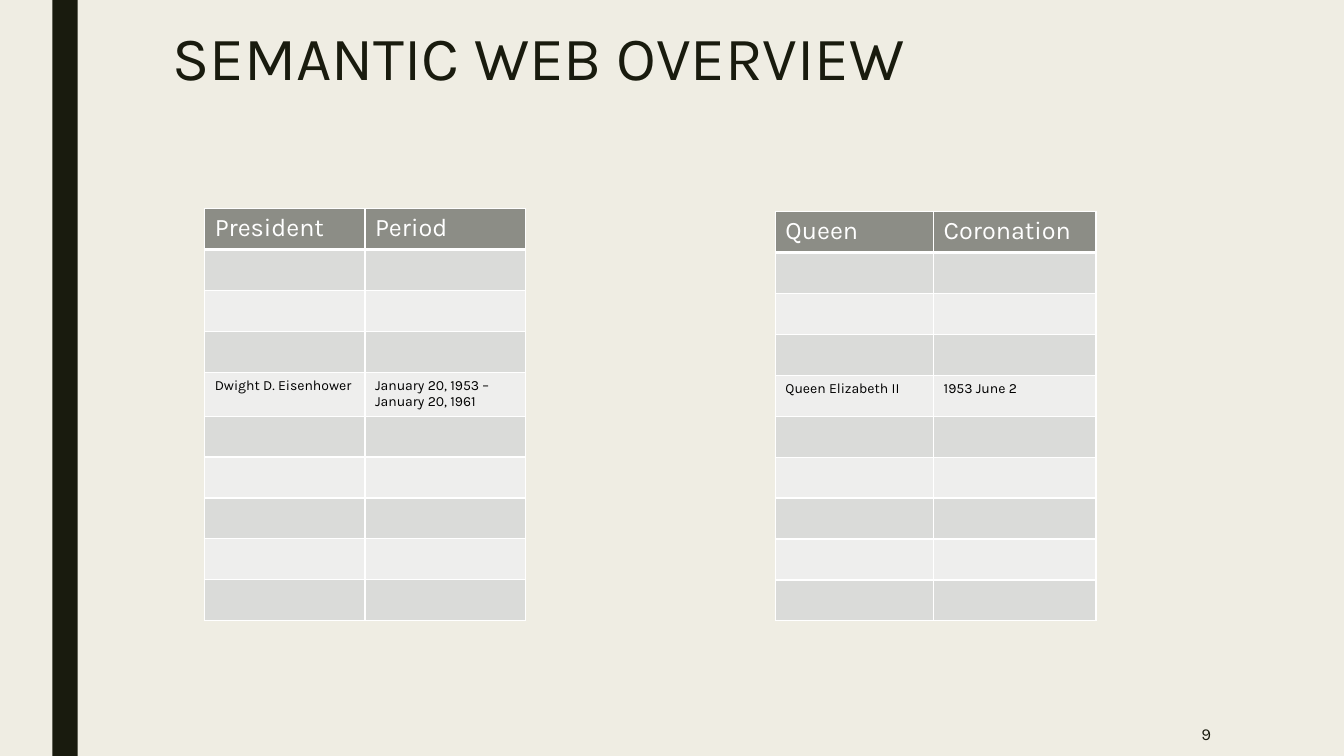
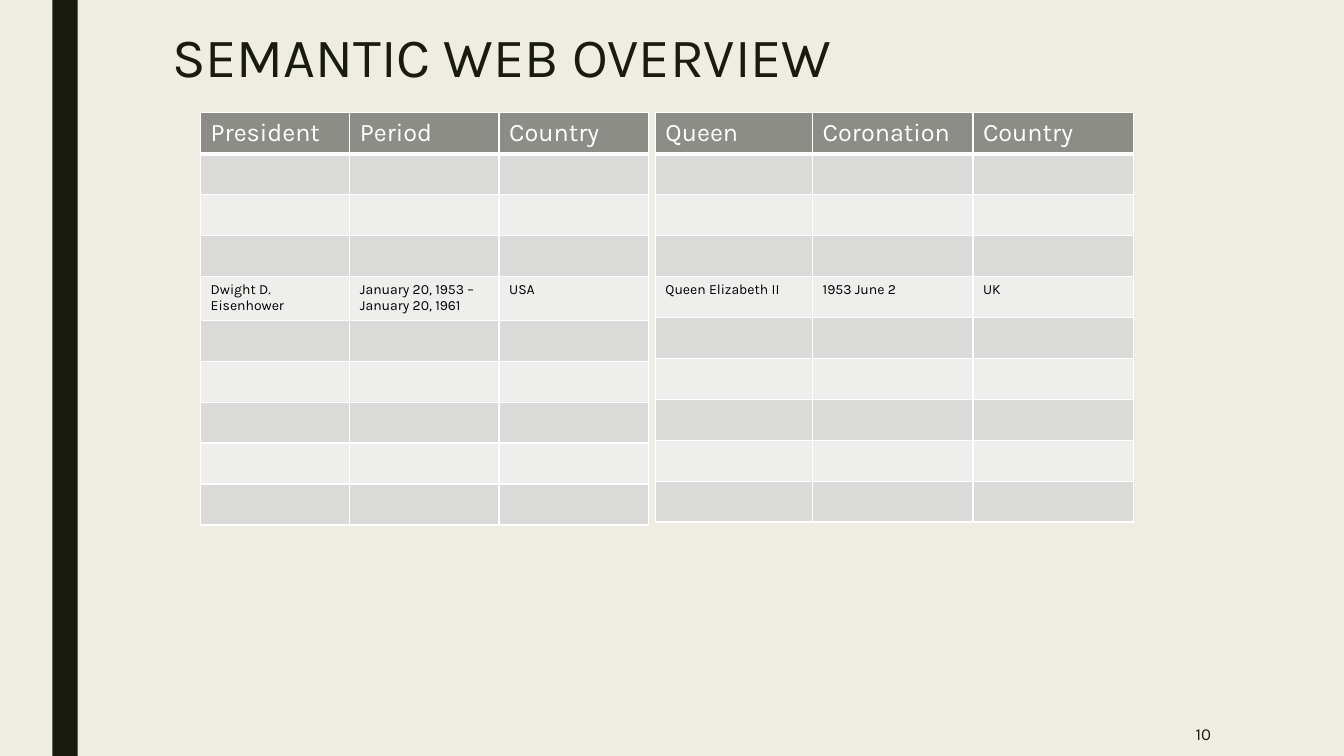
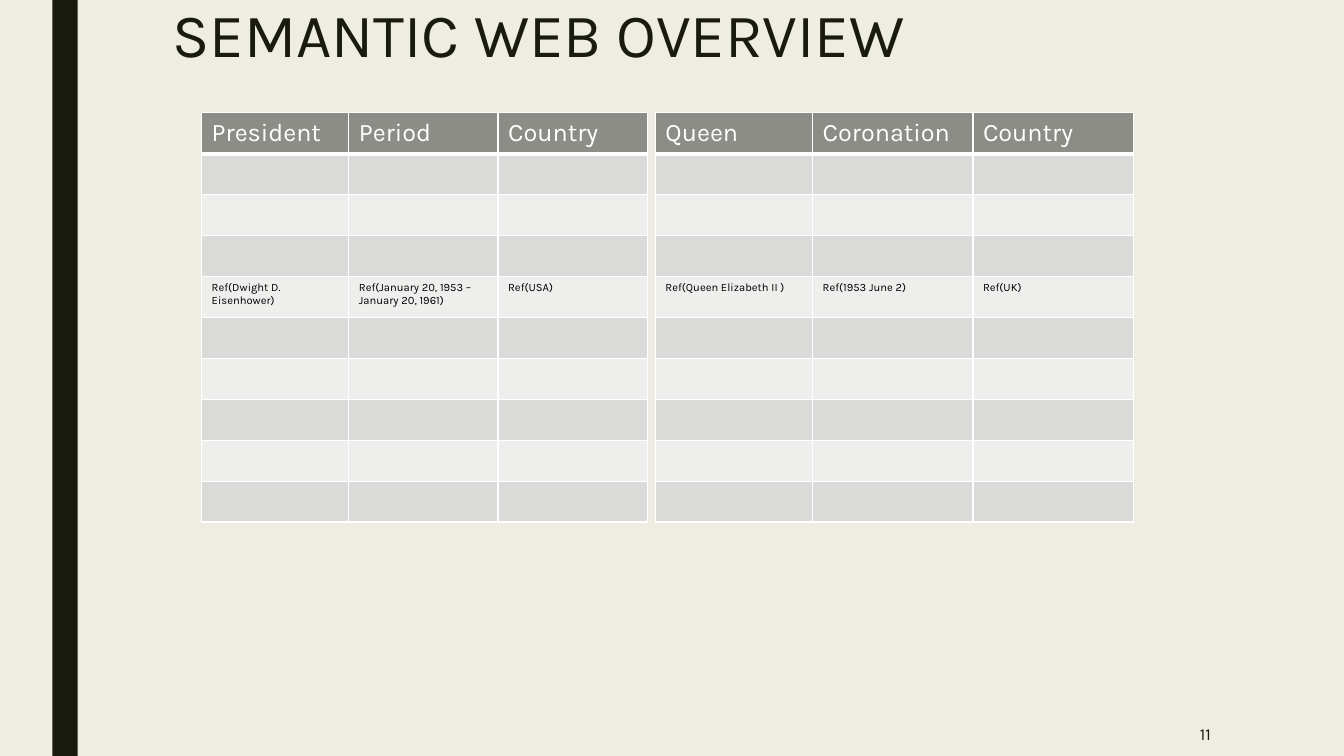
"""Build three slides that compare presidents and queens in tables."""
from dataclasses import dataclass

from lxml import etree
from pptx import Presentation
from pptx.dml.color import RGBColor
from pptx.enum import shapes, text
from pptx.oxml import ns
from pptx.util import Inches, Pt


@dataclass(frozen=True)
class Theme:
    font: str = "Karla"
    paper: str = "EFEDE3"
    ink: str = "191B0E"
    header: str = "8C8D86"
    bands: tuple[str, str] = ("EEEEED", "DADBD9")
    white: str = "FFFFFF"
    black: str = "000000"
    title_size: float = 44
    small_title_size: float = 39.6
    header_size: float = 18
    body_size: float = 10
    reference_size: float = 8
    number_size: float = 12
    border: float = 1
    header_border: float = 3


@dataclass(frozen=True)
class Grid:
    left: float
    top: float
    widths: tuple[float, ...]
    headings: tuple[str, ...]
    entry: tuple[str, ...]
    entry_size: float = Theme.body_size


@dataclass(frozen=True)
class Content:
    number: int
    title_top: float
    title_height: float
    grids: tuple[Grid, ...]
    title_size: float = Theme.title_size


THEME = Theme()
TITLE = "SEMANTIC WEB OVERVIEW"
ROWS = 10
ENTRY_ROW = 4
ROW_HEIGHT = Inches(4.06) // ROWS

PRESIDENT_HEADINGS = ("President", "Period", "Country")
QUEEN_HEADINGS = ("Queen", "Coronation", "Country")
PRESIDENT = ("Dwight D. Eisenhower", "January 20, 1953 – January 20, 1961", "USA")
QUEEN = ("Queen Elizabeth II", "1953 June 2", "UK")
PRESIDENT_REFS = tuple(f"Ref({value})" for value in PRESIDENT)
QUEEN_REFS = ("Ref(Queen Elizabeth II )", "Ref(1953 June 2)", "Ref(UK)")
QUEEN_WIDTHS = (1.56, 1.59, 1.59)

PAGES = (
    Content(9, 0.23, 1.62, (
        Grid(2.03, 2.07, (1.59, 1.59), PRESIDENT_HEADINGS[:2], PRESIDENT[:2]),
        Grid(7.69, 2.1, (1.57, 1.61), QUEEN_HEADINGS[:2], QUEEN[:2]),
    )),
    Content(10, 0.25, 0.62, (
        Grid(1.99, 1.12, (1.48, 1.48, 1.48), PRESIDENT_HEADINGS, PRESIDENT),
        Grid(6.5, 1.12, QUEEN_WIDTHS, QUEEN_HEADINGS, QUEEN),
    ), THEME.small_title_size),
    Content(11, 0, 1.62, (
        Grid(2, 1.12, (1.46, 1.48, 1.48), PRESIDENT_HEADINGS, PRESIDENT_REFS, THEME.reference_size),
        Grid(6.5, 1.12, QUEEN_WIDTHS, QUEEN_HEADINGS, QUEEN_REFS, THEME.reference_size),
    )),
)


def add_span(para, words: str, size: float, color: str) -> None:
    span = para.add_run()
    span.text = words
    span.font.name = THEME.font
    span.font.size = Pt(size)
    span.font.color.rgb = RGBColor.from_string(color)


def add_text(page, left: float, top: float, width: float, height: float, words: str, size: float):
    box = page.shapes.add_textbox(Inches(left), Inches(top), Inches(width), Inches(height))
    box.text_frame.word_wrap = True
    add_span(box.text_frame.paragraphs[0], words, size, THEME.ink)
    return box.text_frame


def add_bar(page) -> None:
    bar = page.shapes.add_shape(
        shapes.MSO_SHAPE.RECTANGLE, Inches(0.52), 0, Inches(0.25), Inches(7.5))
    bar.shadow.inherit = False
    bar.fill.solid()
    bar.fill.fore_color.rgb = RGBColor.from_string(THEME.ink)
    bar.line.fill.background()


def style_cell(cell, fill: str, bottom: float) -> None:
    properties = cell._tc.get_or_add_tcPr()
    for side, width in zip("LRTB", (THEME.border,) * 3 + (bottom,)):
        line = etree.SubElement(properties, ns.qn(f"a:ln{side}"), w=str(Pt(width)))
        solid = etree.SubElement(line, ns.qn("a:solidFill"))
        etree.SubElement(solid, ns.qn("a:srgbClr"), val=THEME.white)
    cell.fill.solid()
    cell.fill.fore_color.rgb = RGBColor.from_string(fill)


def add_grid(page, grid: Grid) -> None:
    table = page.shapes.add_table(
        ROWS, len(grid.widths), Inches(grid.left), Inches(grid.top),
        Inches(sum(grid.widths)), ROW_HEIGHT * ROWS).table
    table.first_row = False
    table.horz_banding = False
    for column, width in zip(table.columns, grid.widths):
        column.width = Inches(width)
    for index, row in enumerate(table.rows):
        row.height = ROW_HEIGHT
        fill = THEME.bands[index % 2] if index else THEME.header
        bottom = THEME.border if index else THEME.header_border
        for cell in row.cells:
            style_cell(cell, fill, bottom)
    for column, (heading, value) in enumerate(zip(grid.headings, grid.entry)):
        add_span(table.cell(0, column).text_frame.paragraphs[0],
                 heading, THEME.header_size, THEME.white)
        add_span(table.cell(ENTRY_ROW, column).text_frame.paragraphs[0],
                 value, grid.entry_size, THEME.black)


def add_page(deck, content: Content) -> None:
    page = deck.slides.add_slide(deck.slide_layouts[6])
    add_bar(page)
    title = add_text(page, 1.61, content.title_top, 10.5, content.title_height,
                     TITLE, content.title_size)
    title.paragraphs[0].line_spacing = 0.89
    for grid in content.grids:
        add_grid(page, grid)
    number = add_text(page, 10.36, 7.06, 1.75, 0.44, str(content.number), THEME.number_size)
    number.vertical_anchor = text.MSO_ANCHOR.MIDDLE
    number.paragraphs[0].alignment = text.PP_ALIGN.RIGHT


def main() -> None:
    deck = Presentation()
    deck.slide_width = Inches(13.33)
    deck.slide_height = Inches(7.5)
    backdrop = deck.slide_master.background.fill
    backdrop.solid()
    backdrop.fore_color.rgb = RGBColor.from_string(THEME.paper)
    for content in PAGES:
        add_page(deck, content)
    deck.save("out.pptx")


if __name__ == "__main__":
    main()
